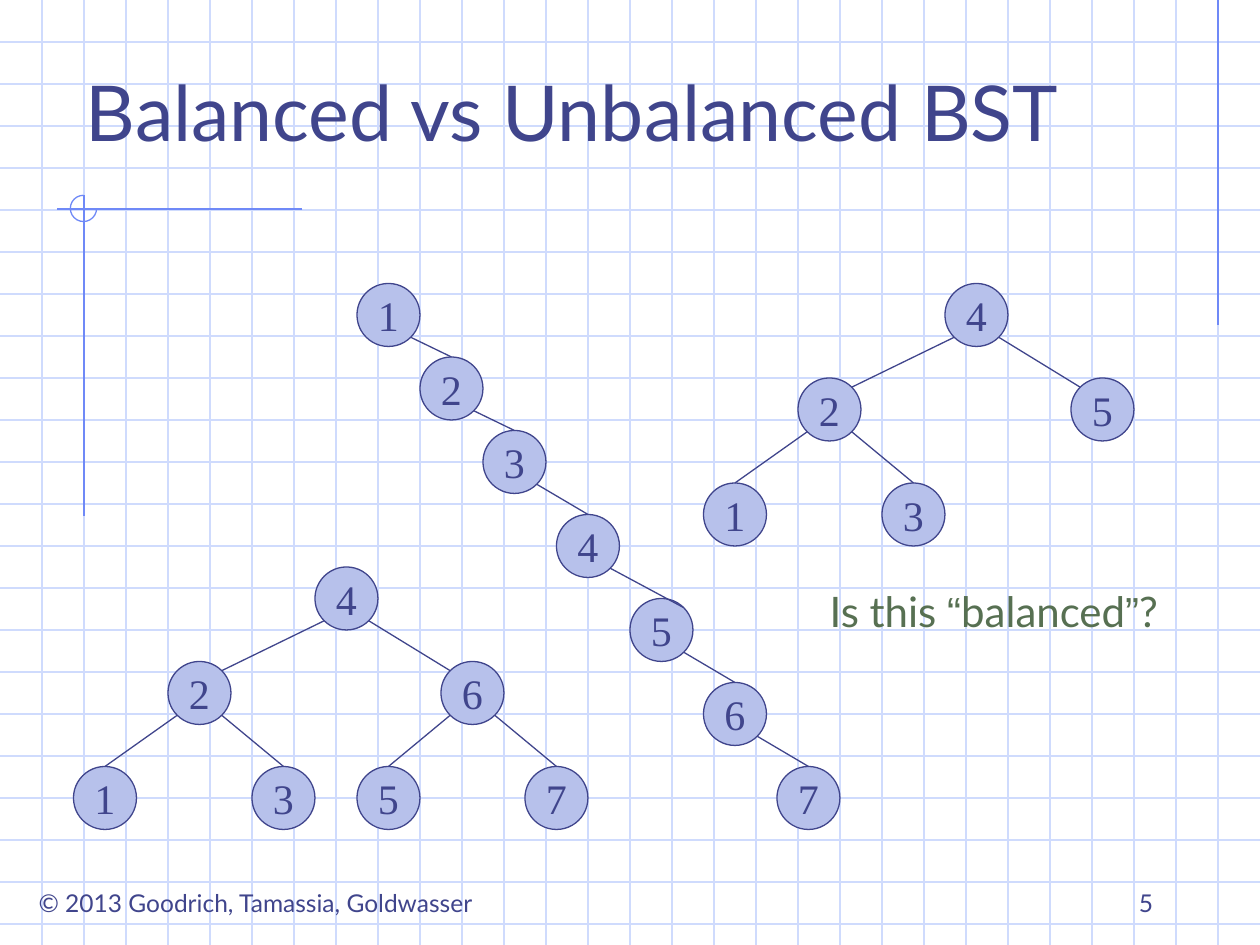
"""Build a slide that sets balanced search trees beside an unbalanced one."""
from dataclasses import dataclass
from math import sqrt
from typing import Optional

from pptx import Presentation
from pptx.dml.color import RGBColor
from pptx.enum.shapes import MSO_CONNECTOR, MSO_SHAPE
from pptx.enum.text import MSO_ANCHOR, PP_ALIGN
from pptx.oxml import parse_xml
from pptx.oxml.ns import nsdecls
from pptx.slide import Slide
from pptx.util import Inches, Pt

COLORS = {
    "grid": "CFDBFD",
    "frame": "6F89F7",
    "ink": "40458C",
    "node": "B7C1EB",
    "question": "577052",
}
COLUMNS, ROWS = 120, 90
GRID_STEP = 4
NODE_SIZE = 6
RADIUS = NODE_SIZE / 2
CORNER = RADIUS / sqrt(2)


@dataclass(frozen=True)
class Node:
    """A tree node; landing is the side (-1, 0, 1) where its incoming edge ends."""
    value: int
    column: float
    row: float
    parent: Optional[int] = None
    landing: int = 0

    @property
    def center(self) -> tuple[float, float]:
        return self.column + RADIUS, self.row + RADIUS


@dataclass(frozen=True)
class Label:
    """A text box whose runs are pairs of text and font name."""
    runs: tuple[tuple[str, str], ...]
    column: float
    row: float
    width: float
    height: float
    size: int
    align: PP_ALIGN
    color: str = "ink"
    anchor: MSO_ANCHOR = MSO_ANCHOR.TOP
    wrap: bool = True


LEFT_SUBTREE = (
    Node(4, 90, 27),
    Node(2, 76, 36, 4, 1),
    Node(1, 67, 46, 2),
    Node(3, 84, 46, 2),
)
TREES = (
    LEFT_SUBTREE + (Node(5, 102, 36, 4, -1),),
    (
        Node(1, 34, 27),
        Node(2, 40, 34, 1),
        Node(3, 46, 41, 2),
        Node(4, 53, 49, 3),
        Node(5, 60, 57, 4, 1),
        Node(6, 67, 65, 5),
        Node(7, 74, 73, 6),
    ),
    tuple(
        Node(node.value, node.column - 60, node.row + 27, node.parent, node.landing)
        for node in LEFT_SUBTREE
    ) + (Node(6, 42, 63, 4, -1), Node(5, 34, 73, 6), Node(7, 50, 73, 6)),
)
FRAME_LINES = (
    (116, 0, 116, 31),
    (28.8, 19.9, 5.4, 19.9),
    (8, 18.6, 8, 49.1),
)
LABELS = (
    Label((("© 2013 Goodrich, Tamassia, Goldwasser", "Lato"),),
          1.1, 84, 46.5, 4.1, 14, PP_ALIGN.CENTER, wrap=False),
    Label((("5", "Lato"),), 86, 82, 25, 6, 14, PP_ALIGN.RIGHT, anchor=MSO_ANCHOR.BOTTOM),
    Label((("Balanced vs Unbalanced BST", "Lato"),),
          7, 4.2, 106, 11.3, 44, PP_ALIGN.LEFT, anchor=MSO_ANCHOR.BOTTOM),
    Label((("Is this ", "Lato"), ("“", "Arial"), ("balanced", "Lato"),
           ("”", "Arial"), ("?", "Lato")),
          76.6, 55.2, 36.1, 6, 24, PP_ALIGN.CENTER, "question", wrap=False),
)


def color(name: str) -> RGBColor:
    return RGBColor.from_string(COLORS[name])


def units(*cells: float) -> list[int]:
    return [Inches(cell / 12) for cell in cells]


def draw_line(slide: Slide, ends: tuple[float, float, float, float], line_color: str) -> None:
    connector = slide.shapes.add_connector(MSO_CONNECTOR.STRAIGHT, *units(*ends))
    connector.line.color.rgb = color(line_color)
    connector.line.width = Pt(0.75)
    connector._element.spPr.append(parse_xml(f"<a:effectLst {nsdecls('a')}/>"))


def draw_background(slide: Slide) -> None:
    for row in range(GRID_STEP, ROWS, GRID_STEP):
        draw_line(slide, (0, row, COLUMNS, row), "grid")
    for column in range(GRID_STEP, COLUMNS, GRID_STEP):
        draw_line(slide, (column, 0, column, ROWS), "grid")
    for ends in FRAME_LINES:
        draw_line(slide, ends, "frame")
    arc = slide.shapes.add_shape(MSO_SHAPE.ARC, *units(6.7, 18.6, 2.5, 2.5))
    arc.adjustments[0], arc.adjustments[1] = 0, 162
    arc.shadow.inherit = False
    arc.fill.background()
    arc.line.color.rgb = color("frame")
    arc.line.width = Pt(0.75)


def draw_node(slide: Slide, node: Node) -> None:
    shape = slide.shapes.add_shape(
        MSO_SHAPE.OVAL, *units(node.column, node.row, NODE_SIZE, NODE_SIZE))
    shape.shadow.inherit = False
    shape.fill.solid()
    shape.fill.fore_color.rgb = color("node")
    shape.line.color.rgb = color("ink")
    shape.line.width = Pt(0.75)
    text_frame = shape.text_frame
    text_frame.text = str(node.value)
    text_frame.word_wrap = False
    text_frame.vertical_anchor = MSO_ANCHOR.MIDDLE
    paragraph = text_frame.paragraphs[0]
    paragraph.alignment = PP_ALIGN.CENTER
    font = paragraph.runs[0].font
    font.name, font.size = "Times New Roman", Pt(24)
    font.color.rgb = color("ink")


def draw_edge(slide: Slide, parent: Node, child: Node) -> None:
    parent_x, parent_y = parent.center
    child_x, child_y = child.center
    side = 1 if child_x > parent_x else -1
    rise = CORNER if child.landing else RADIUS
    draw_line(slide, (parent_x + side * CORNER, parent_y + CORNER,
                      child_x + child.landing * CORNER, child_y - rise), "ink")


def draw_tree(slide: Slide, tree: tuple[Node, ...]) -> None:
    nodes = {node.value: node for node in tree}
    for node in tree:
        draw_node(slide, node)
    for node in tree:
        if node.parent is not None:
            draw_edge(slide, nodes[node.parent], node)


def draw_label(slide: Slide, label: Label) -> None:
    box = slide.shapes.add_textbox(*units(label.column, label.row, label.width, label.height))
    text_frame = box.text_frame
    text_frame.word_wrap = label.wrap
    text_frame.vertical_anchor = label.anchor
    paragraph = text_frame.paragraphs[0]
    paragraph.alignment = label.align
    for text, font_name in label.runs:
        run = paragraph.add_run()
        run.text = text
        run.font.name, run.font.size = font_name, Pt(label.size)
        run.font.color.rgb = color(label.color)


def main() -> None:
    presentation = Presentation()
    presentation.slide_width, presentation.slide_height = units(COLUMNS, ROWS)
    slide = presentation.slides.add_slide(presentation.slide_layouts[6])
    draw_background(slide)
    for tree in TREES:
        draw_tree(slide, tree)
    for label in LABELS:
        draw_label(slide, label)
    presentation.save("out.pptx")


if __name__ == "__main__":
    main()
